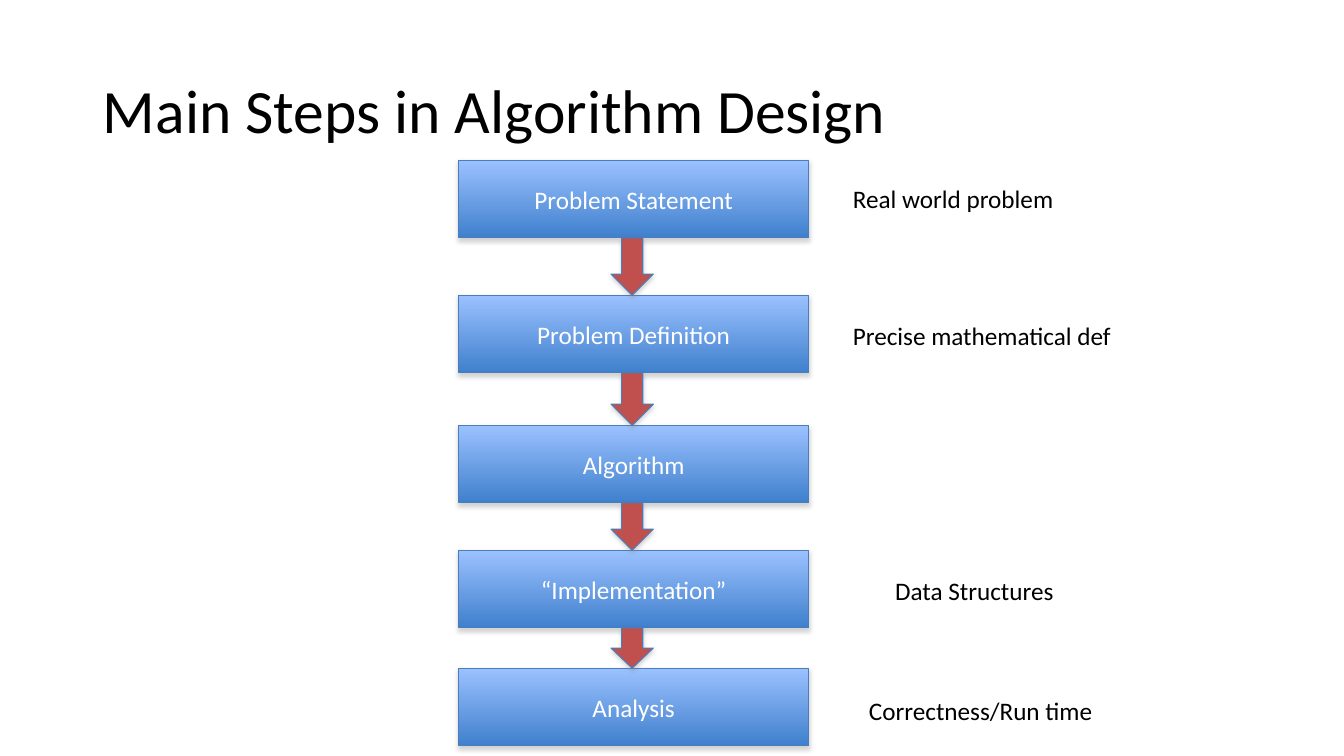
from lxml.etree import SubElement
from pptx import Presentation
from pptx.dml.color import RGBColor
from pptx.enum.shapes import MSO_SHAPE
from pptx.enum.text import MSO_ANCHOR, MSO_AUTO_SIZE, PP_ALIGN
from pptx.oxml.ns import qn
from pptx.util import Inches, Pt

# Step name, top of its box, note, note's left, top and width
STEPS = [
    ("Problem Statement", 1.59, ("Real world problem", 8.36, 1.77, 2.21)),
    ("Problem Definition", 2.93, ("Precise mathematical def", 8.36, 3.13, 2.79)),
    ("Algorithm", 4.22, None),
    ("“Implementation”", 5.46, ("Data Structures", 8.78, 5.66, 1.79)),
    ("Analysis", 6.63, ("Correctness/Run time", 8.52, 6.85, 2.44)),
]
BOX_LEFT, BOX_WIDTH, BOX_HEIGHT = 4.55, 3.47, 0.77
ARROW_LEFT, ARROW_WIDTH = 6.06, 0.42


def color(value):
    return RGBColor.from_string(value)


def write(frame, text, size=18, fill="000000", font="Calibri",
          align=PP_ALIGN.LEFT, anchor=MSO_ANCHOR.TOP, spacing=None):
    frame.vertical_anchor = anchor
    para = frame.paragraphs[0]
    para.alignment = align
    para.line_spacing = spacing
    span = para.add_run()
    span.text = text
    span.font.size = Pt(size)
    span.font.name = font
    span.font.color.rgb = color(fill)


class FlowSlide:
    gradient = ("9BC1FF", "3F80CD")
    outline = "4A7EBB"
    arrow_fill = "C0504D"
    shadow_color = "808080"

    def __init__(self, deck):
        self.page = deck.slides.add_slide(deck.slide_layouts[5])

    def title(self, text, left, top, width, height):
        title = self.page.shapes.title
        title.left, title.top = Inches(left), Inches(top)
        title.width, title.height = Inches(width), Inches(height)
        write(title.text_frame, text, size=44, anchor=MSO_ANCHOR.MIDDLE, spacing=0.9)

    def shape(self, kind, left, top, width, height):
        shape = self.page.shapes.add_shape(
            kind, Inches(left), Inches(top), Inches(width), Inches(height))
        shape.line.color.rgb = color(self.outline)
        shape.line.width = Pt(0.75)
        # Soft shadow straight below
        shape.shadow.inherit = False
        effects = shape.element.spPr.find(qn("a:effectLst"))
        shadow = SubElement(effects, qn("a:outerShdw"), blurRad=str(Pt(3.1)),
                            dist=str(Pt(1.8)), dir="5400000", rotWithShape="0")
        tone = SubElement(shadow, qn("a:srgbClr"), val=self.shadow_color)
        SubElement(tone, qn("a:alpha"), val="35000")
        return shape

    def step(self, text, top):
        box = self.shape(MSO_SHAPE.RECTANGLE, BOX_LEFT, top, BOX_WIDTH, BOX_HEIGHT)
        box.fill.gradient()
        box.fill.gradient_angle = 270
        for stop, value, position in zip(box.fill.gradient_stops, self.gradient, (0, 1)):
            stop.color.rgb = color(value)
            stop.position = position
        write(box.text_frame, text, fill="FFFFFF",
              align=PP_ALIGN.CENTER, anchor=MSO_ANCHOR.MIDDLE)

    def arrow(self, top, bottom):
        arrow = self.shape(MSO_SHAPE.DOWN_ARROW, ARROW_LEFT, top, ARROW_WIDTH, bottom - top)
        arrow.fill.solid()
        arrow.fill.fore_color.rgb = color(self.arrow_fill)

    def note(self, text, left, top, width):
        box = self.page.shapes.add_textbox(
            Inches(left), Inches(top), Inches(width), Inches(0.4))
        box.text_frame.word_wrap = False
        box.text_frame.auto_size = MSO_AUTO_SIZE.SHAPE_TO_FIT_TEXT
        write(box.text_frame, text)


def main():
    deck = Presentation()
    deck.slide_width, deck.slide_height = Inches(13.33), Inches(7.5)
    slide = FlowSlide(deck)
    slide.title("Main Steps in Algorithm Design", 0.92, 0.4, 11.5, 1.45)

    # Steps with their notes
    for name, top, note in STEPS:
        slide.step(name, top)
        if note:
            slide.note(*note)

    # Arrows fill the gaps between steps
    for (_, upper, _), (_, lower, _) in zip(STEPS, STEPS[1:]):
        slide.arrow(upper + BOX_HEIGHT, lower)

    deck.save("out.pptx")


if __name__ == "__main__":
    main()
